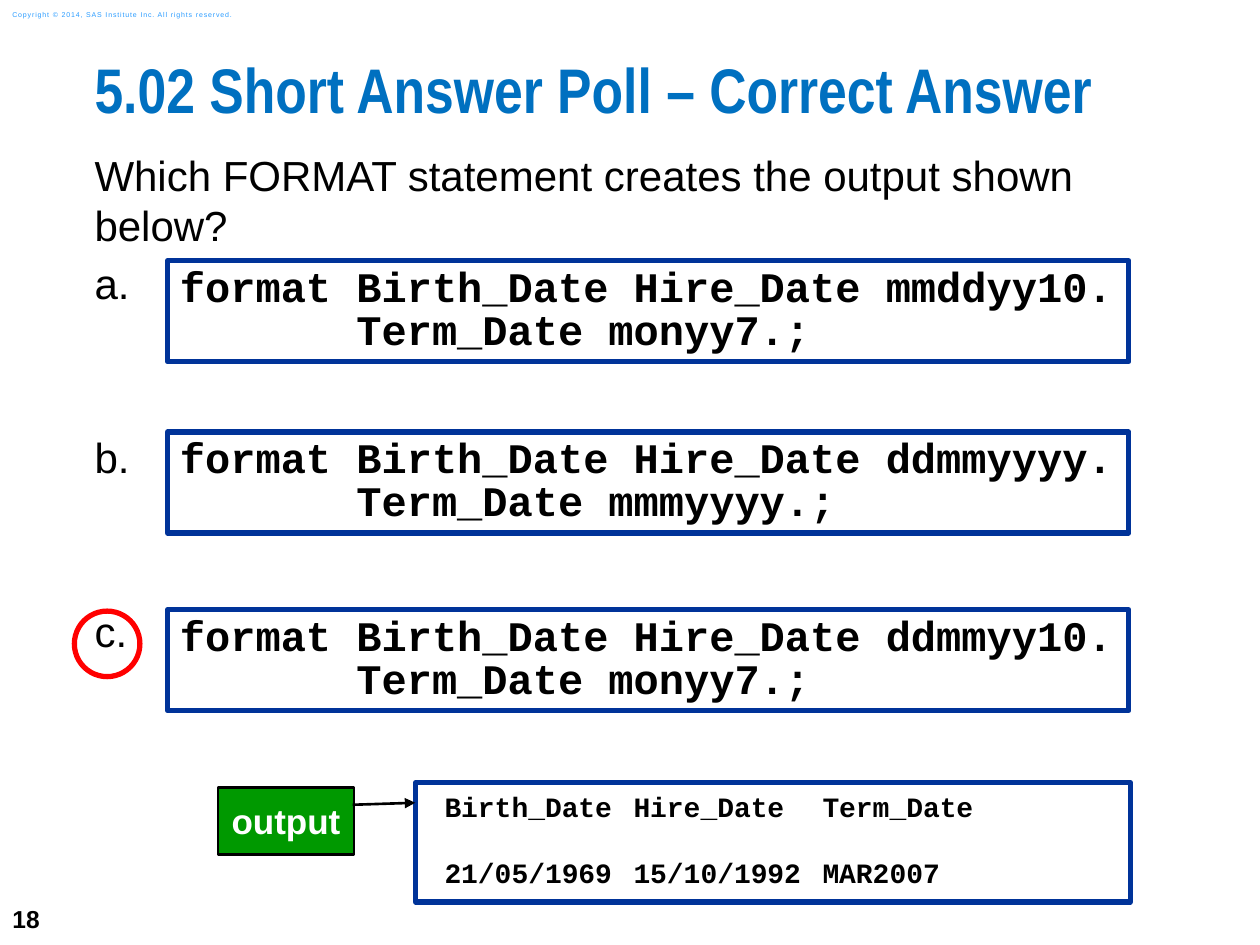
from lxml import etree
from pptx import Presentation
from pptx.dml.color import RGBColor
from pptx.enum.shapes import MSO_SHAPE
from pptx.enum.text import MSO_ANCHOR, PP_ALIGN
from pptx.oxml.ns import qn
from pptx.util import Inches, Pt

BLACK = RGBColor(0x00, 0x00, 0x00)
WHITE = RGBColor(0xFF, 0xFF, 0xFF)
TITLE_BLUE = RGBColor(0x00, 0x70, 0xC0)
FRAME_BLUE = RGBColor(0x00, 0x33, 0x99)
NOTICE_BLUE = RGBColor(0x2A, 0x9C, 0xFF)
ANSWER_RED = RGBColor(0xFF, 0x00, 0x00)
LABEL_GREEN = RGBColor(0x00, 0x99, 0x00)

QUESTION = "Which FORMAT statement creates the output shown below?"
OPTIONS = [
    ("a.", 2.07, ["format Birth_Date Hire_Date mmddyy10.", "       Term_Date monyy7.;"]),
    ("b.", 3.43, ["format Birth_Date Hire_Date ddmmyyyy.", "       Term_Date mmmyyyy.;"]),
    ("c.", 4.84, ["format Birth_Date Hire_Date ddmmyy10.", "       Term_Date monyy7.;"]),
]
OUTPUT_ROWS = [
    ("Birth_Date", "Hire_Date", "Term_Date"),
    ("21/05/1969", "15/10/1992", "MAR2007"),
]


def write(shape, lines, size, font="Arial", color=BLACK, bold=False, align=PP_ALIGN.LEFT,
          anchor=MSO_ANCHOR.TOP, insets=(0, 0, 0, 0), spacing=None, gaps=(), wrap=True,
          tracking=None, indent=0, tabs=()):
    """Fill a shape with formatted lines; gaps are the points before each line."""
    frame = shape.text_frame
    frame.word_wrap = wrap
    frame.vertical_anchor = anchor
    frame.margin_left, frame.margin_top, frame.margin_right, frame.margin_bottom = map(Inches, insets)
    for index, line in enumerate(lines):
        paragraph = frame.paragraphs[0] if index == 0 else frame.add_paragraph()
        properties = paragraph._p.get_or_add_pPr()
        properties.set("marL", str(Inches(indent)))
        properties.set("indent", "0")
        etree.SubElement(properties, qn("a:buNone"))
        if tabs:
            stops = etree.SubElement(properties, qn("a:tabLst"))
            for stop in tabs:
                etree.SubElement(stops, qn("a:tab"), pos=str(Inches(stop)), algn="l")
        paragraph.alignment = align
        paragraph.line_spacing = spacing
        paragraph.space_before = Pt(gaps[index] if gaps else 0)
        run = paragraph.add_run()
        run.text = line
        run.font.name, run.font.size, run.font.bold = font, Pt(size), bold
        run.font.color.rgb = color
        if tracking:
            run.font._element.set("spc", str(int(tracking * 100)))


def place(shape, box):
    """Move a placeholder to a box given in inches."""
    shape.left, shape.top, shape.width, shape.height = map(Inches, box)
    return shape


def add_framed(slide, kind, box, line, width, fill=None):
    """Add a preset shape with an outline and an optional fill."""
    shape = slide.shapes.add_shape(kind, *map(Inches, box))
    shape.shadow.inherit = False
    shape.line.color.rgb = line
    shape.line.width = Pt(width)
    if fill is None:
        shape.fill.background()
    else:
        shape.fill.solid()
        shape.fill.fore_color.rgb = fill
    return shape


def add_footer(slide, box, text, **style):
    """Add one line of slide furniture."""
    note = slide.shapes.add_textbox(*map(Inches, box))
    write(note, [text], anchor=MSO_ANCHOR.MIDDLE, insets=(0.1, 0.05, 0.1, 0.05), wrap=False, **style)


def add_question(slide, title_box, body_box):
    """Place the title, the question and the option letters."""
    write(place(slide.shapes.title, title_box), ["5.02 Short Answer Poll – Correct Answer"],
          36, "Arial Narrow", TITLE_BLUE, bold=True, spacing=0.83)
    letters = [letter for letter, _, _ in OPTIONS]
    write(place(slide.placeholders[1], body_box), [QUESTION, *letters], 24,
          spacing=Pt(28.6), gaps=(0, 4.5, 70.8, 70.8))


def add_code(slide, box, lines):
    """Add a framed code statement."""
    code = add_framed(slide, MSO_SHAPE.RECTANGLE, box, FRAME_BLUE, 3, WHITE)
    write(code, lines, 24, "Courier New", bold=True, spacing=0.85, insets=(0.1, 0.06, 0.06, 0.06))


def add_output(slide, box):
    """Add the output listing and the callout pointing to it."""
    left, top, _, _ = box
    listing = add_framed(slide, MSO_SHAPE.RECTANGLE, box, FRAME_BLUE, 3, WHITE)
    write(listing, ["\t".join(row) for row in OUTPUT_ROWS], 16, "Courier New", bold=True,
          insets=(0.1, 0.06, 0.1, 0.06), gaps=(0, 18.1), indent=0.13, tabs=(2.13, 4))
    label = add_framed(slide, MSO_SHAPE.LINE_CALLOUT_1, (left - 1.57, top + 0.04, 1.08, 0.53),
                       BLACK, 1.5, LABEL_GREEN)
    for index, value in enumerate((0.26, 0.99, 0.23, 1.45)):
        label.adjustments[index] = value
    etree.SubElement(label.line._get_or_add_ln(), qn("a:tailEnd"), type="triangle")
    write(label, ["output"], 20, color=WHITE, bold=True, align=PP_ALIGN.CENTER,
          anchor=MSO_ANCHOR.MIDDLE, insets=(0.1, 0.1, 0.1, 0.1))


def main():
    """Build the poll answer slide."""
    deck = Presentation()
    deck.slide_width, deck.slide_height = Inches(10), Inches(7.5)
    slide = deck.slides.add_slide(deck.slide_layouts[1])
    add_footer(slide, (0, 7.08, 0.58, 0.42), "18", size=14, bold=True)
    add_footer(slide, (0, 0.03, 2.11, 0.17),
               "Copyright © 2014, SAS Institute Inc. All rights reserved.",
               size=4, color=NOTICE_BLUE, tracking=0.5)
    add_question(slide, (0.75, 0.5, 9.25, 0.74), (0.75, 1.19, 8.58, 4.66))
    for _, top, lines in OPTIONS:
        add_code(slide, (1.33, top, 7.63, 0.8), lines)
    add_framed(slide, MSO_SHAPE.OVAL, (0.59, 4.85, 0.52, 0.52), ANSWER_RED, 3)
    add_output(slide, (3.3, 6.21, 5.67, 0.95))
    deck.save("out.pptx")


if __name__ == "__main__":
    main()
